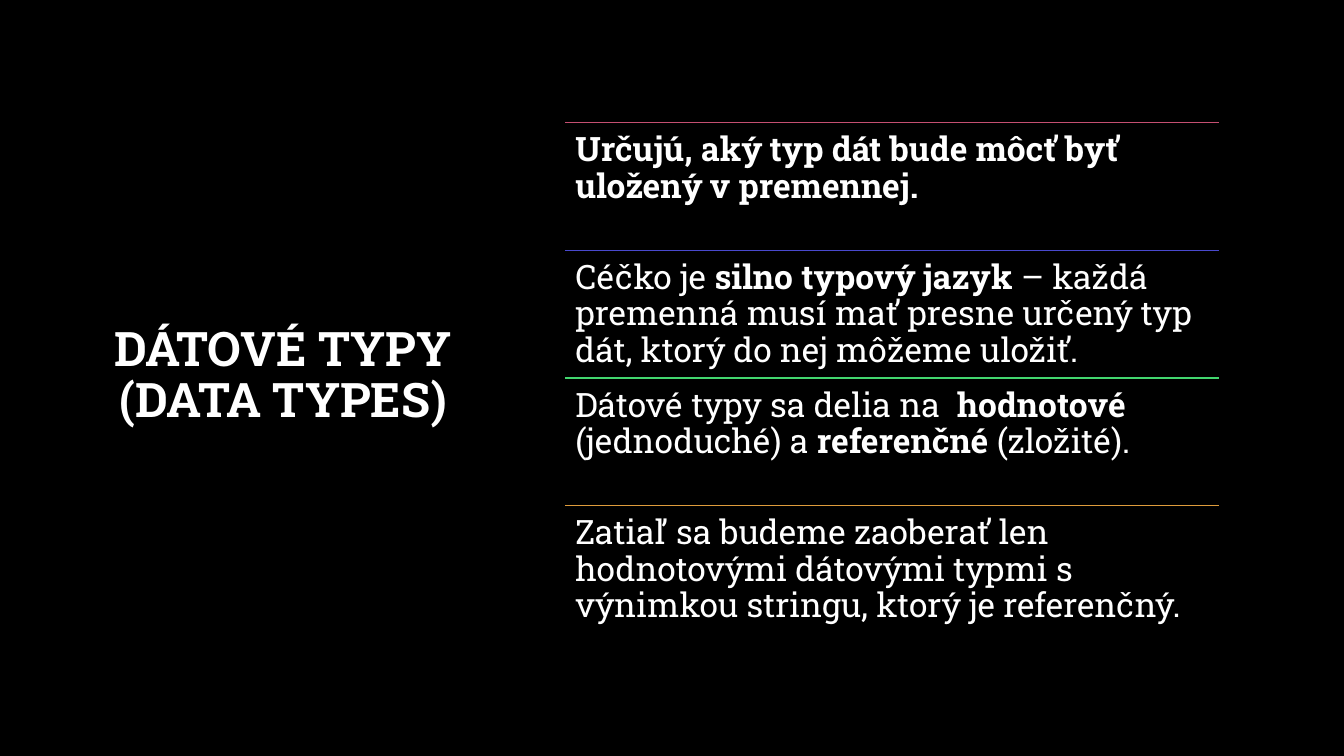
import pptx
import pptx.util
import pptx.dml.color
import pptx.enum.shapes
import pptx.enum.text
import pptx.oxml
import pptx.oxml.ns

Pt = pptx.util.Pt
FACE = "Roboto Slab"
COLORS = {
    "back": "000000",
    "text": "FFFFFF",
    "rose": "C54F71",
    "blue": "4949CD",
    "green": "42D66E",
    "gold": "DE9C3C",
}
TITLE = "DÁTOVÉ TYPY\v(DATA TYPES)"

# Each row: line colour, then (text, bold) runs
ROWS = [
    ("rose", [("Určujú, aký typ dát bude môcť byť uložený v premennej.", True)]),
    ("blue", [
        ("Céčko je ", False),
        ("silno typový jazyk", True),
        (" – každá premenná musí mať presne určený typ dát, "
         "ktorý do nej môžeme uložiť.", False),
    ]),
    ("green", [
        ("Dátové typy sa delia na  ", False),
        ("hodnotové", True),
        (" (jednoduché) a ", False),
        ("referenčné ", True),
        ("(zložité).", False),
    ]),
    ("gold", [
        ("Zatiaľ sa budeme zaoberať len hodnotovými dátovými typmi "
         "s výnimkou stringu, ktorý je referenčný.", False),
    ]),
]


def color(name):
    return pptx.dml.color.RGBColor.from_string(COLORS[name])


def add_text(slide, box, runs, size, inset):
    """Put one paragraph of runs in a wrapped text box."""
    frame = slide.shapes.add_textbox(*map(Pt, box)).text_frame
    frame.word_wrap = True
    frame.margin_left = frame.margin_right = Pt(7.2)
    frame.margin_top = frame.margin_bottom = Pt(inset)
    para = frame.paragraphs[0]
    para.line_spacing = 0.9
    for text, bold in runs:
        run = para.add_run()
        run.text = text
        run.font.bold = bold
    para.font.name = FACE
    para.font.size = Pt(size)
    para.font.color.rgb = color("text")
    return frame


def add_title(slide, box):
    frame = add_text(slide, box, [], 34, 3.6)
    frame.vertical_anchor = pptx.enum.text.MSO_ANCHOR.MIDDLE
    para = frame.paragraphs[0]
    para.text = TITLE
    para.font.bold = True
    para.alignment = pptx.enum.text.PP_ALIGN.CENTER


def add_rule(slide, left, top, width, name):
    line = slide.shapes.add_connector(
        pptx.enum.shapes.MSO_CONNECTOR.STRAIGHT,
        Pt(left), Pt(top), Pt(left + width), Pt(top))
    line.line.color.rgb = color(name)
    line.line.width = Pt(1)
    props = line._element.spPr
    props.append(pptx.oxml.parse_xml(
        "<a:effectLst %s/>" % pptx.oxml.ns.nsdecls("a")))


def add_list(slide, box):
    left, top, width, height = box
    step = height / len(ROWS)
    for i, (name, runs) in enumerate(ROWS):
        y = top + i * step
        add_rule(slide, left, y, width, name)
        add_text(slide, (left, y, width, step), runs, 24, 7.2)


def main():
    deck = pptx.Presentation()
    deck.slide_width, deck.slide_height = Pt(960), Pt(540)
    slide = deck.slides.add_slide(deck.slide_layouts[6])
    fill = slide.background.fill
    fill.solid()
    fill.fore_color.rgb = color("back")

    # Title on the left, ruled list on the right
    add_title(slide, (59, 48.2, 286.6, 441.4))
    add_list(slide, (403.9, 87.6, 466.6, 364.8))
    deck.save("out.pptx")


if __name__ == "__main__":
    main()
